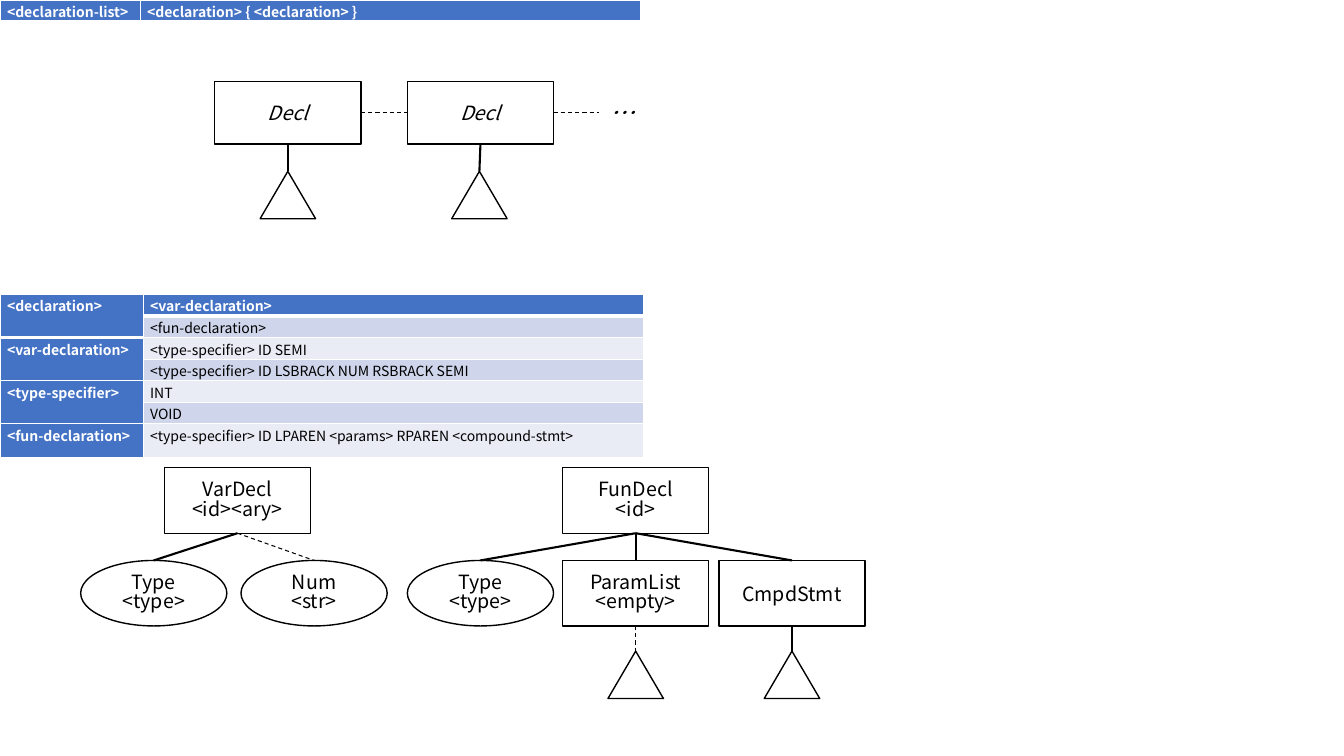
from lxml.etree import SubElement
from pptx import Presentation
from pptx.dml.color import RGBColor
from pptx.enum.dml import MSO_LINE
from pptx.enum.shapes import MSO_CONNECTOR, MSO_SHAPE
from pptx.enum.text import MSO_ANCHOR, PP_ALIGN
from pptx.oxml.ns import qn
from pptx.util import Inches, Pt

FACE = "Noto Sans CJK KR"
BLACK, WHITE, BLUE = "000000", "FFFFFF", "4472C4"
BANDS = ["E9EBF5", "CFD5EA"]


def tint(code):
    return RGBColor.from_string(code)


def write(frame, text, look, para):
    frame.text = text
    for item in frame.paragraphs:
        for name, value in para.items():
            setattr(item, name, value)
        for run in item.runs:
            run.font.color.rgb = tint(look["color"])
            for name in ("size", "bold", "italic"):
                setattr(run.font, name, look.get(name))
            run.font.name = FACE


deck = Presentation()
deck.slide_width, deck.slide_height = Inches(13.33), Inches(7.5)
slide = deck.slides.add_slide(deck.slide_layouts[6])
shapes = slide.shapes

# top, column widths, row heights, rows, first rows of merged pairs
grids = [
    (0, [1.39, 4.96], [0.16],
     [("<declaration-list>", "<declaration> { <declaration> }")], []),
    (2.92, [1.42, 4.96], [0.17, 0.18, 0.17, 0.17, 0.17, 0.18, 0.33],
     [("<declaration>", "<var-declaration>"),
      ("", "<fun-declaration>"),
      ("<var-declaration>", "<type-specifier> ID SEMI"),
      ("", "<type-specifier> ID LSBRACK NUM RSBRACK SEMI"),
      ("<type-specifier>", "INT"),
      ("", "VOID"),
      ("<fun-declaration>", "<type-specifier> ID LPAREN <params> RPAREN <compound-stmt>")],
     [0, 2, 4]),
]
for top, wide, high, rows, pairs in grids:
    grid = shapes.add_table(len(rows), 2, Inches(0), Inches(top),
                            Inches(sum(wide)), Inches(sum(high))).table
    for col, size in zip(grid.columns, wide):
        col.width = Inches(size)
    for row, size in zip(grid.rows, high):
        row.height = Inches(size)
    for r, words in enumerate(rows):
        for c, text in enumerate(words):
            cell = grid.cell(r, c)
            head = r == 0 or c == 0
            cell.margin_left = cell.margin_right = Inches(0.07)
            cell.margin_top = cell.margin_bottom = 0
            look = {"size": Pt(10), "bold": head, "color": WHITE if head else BLACK}
            write(cell.text_frame, text, look, {"line_spacing": 1.07, "space_after": Pt(8)})
            props = cell._tc.get_or_add_tcPr()
            for side in "LRTB":
                width = Pt(3) if r == 0 and side == "B" else Pt(1)
                edge = SubElement(props, qn(f"a:ln{side}"), w=str(width))
                SubElement(SubElement(edge, qn("a:solidFill")), qn("a:srgbClr"), val=WHITE)
            cell.fill.solid()
            cell.fill.fore_color.rgb = tint(BLUE if head else BANDS[r % 2])
    for r in pairs:
        grid.cell(r, 0).merge(grid.cell(r + 1, 0))

RECT, OVAL, TRI = MSO_SHAPE.RECTANGLE, MSO_SHAPE.OVAL, MSO_SHAPE.ISOSCELES_TRIANGLE
nodes = [
    ("decl1", RECT, 2.13, 0.81, 0.62, "Decl"),
    ("decl2", RECT, 4.04, 0.81, 0.62, "Decl"),
    ("var", RECT, 1.63, 4.64, 0.65, "VarDecl\n<id><ary>"),
    ("fun", RECT, 5.58, 4.64, 0.65, "FunDecl\n<id>"),
    ("type1", OVAL, 0.8, 5.56, 0.65, "Type\n<type>"),
    ("num", OVAL, 2.39, 5.56, 0.65, "Num\n<str>"),
    ("type2", OVAL, 4.04, 5.56, 0.65, "Type\n<type>"),
    ("params", RECT, 5.58, 5.56, 0.65, "ParamList\n<empty>"),
    ("body", RECT, 7.13, 5.56, 0.65, "CmpdStmt"),
    ("tree1", TRI, 2.58, 1.7, 0.47, ""),
    ("tree2", TRI, 4.48, 1.7, 0.47, ""),
    ("tree3", TRI, 6.03, 6.46, 0.47, ""),
    ("tree4", TRI, 7.58, 6.46, 0.47, ""),
]
made = {}
for name, kind, left, top, high, text in nodes:
    wide = 0.55 if kind == TRI else 1.45
    node = shapes.add_shape(kind, Inches(left), Inches(top), Inches(wide), Inches(high))
    node.shadow.inherit = False
    node.fill.solid()
    node.fill.fore_color.rgb = tint(WHITE)
    node.line.color.rgb = tint(BLACK)
    node.line.width = Pt(1)
    made[name] = node
    if text:
        node.text_frame.vertical_anchor = MSO_ANCHOR.MIDDLE
        look = {"size": Pt(14), "color": BLACK, "italic": text == "Decl"}
        para = {"alignment": PP_ALIGN.CENTER}
        if "\n" in text:
            para["line_spacing"] = 0.83
        write(node.text_frame, text, look, para)

# start, its side, end, its side, dashed
links = [
    ("decl1", 3, "decl2", 1, True),
    ("decl2", 3, None, 0, True),
    ("decl1", 2, "tree1", 0, False),
    ("decl2", 2, "tree2", 0, False),
    ("var", 2, "type1", 0, False),
    ("var", 2, "num", 0, True),
    ("fun", 2, "type2", 0, False),
    ("fun", 2, "params", 0, False),
    ("fun", 2, "body", 0, False),
    ("params", 2, "tree3", 0, True),
    ("body", 2, "tree4", 0, False),
]
for start, out, end, side, dash in links:
    link = shapes.add_connector(MSO_CONNECTOR.STRAIGHT, Inches(5.49), Inches(1.12),
                                Inches(5.94), Inches(1.12))
    link.begin_connect(made[start], out)
    if end:
        link.end_connect(made[end], side)
    link.line.color.rgb = tint(BLACK)
    link.line.width = Pt(0.75 if dash else 1.5)
    if dash:
        link.line.dash_style = MSO_LINE.DASH
    SubElement(link._element.spPr, qn("a:effectLst"))

more = shapes.add_textbox(Inches(5.94), Inches(0.81), Inches(0.45), Inches(0.62)).text_frame
more.word_wrap = True
more.vertical_anchor = MSO_ANCHOR.MIDDLE
write(more, "…", {"size": Pt(18), "color": BLACK, "italic": True},
      {"alignment": PP_ALIGN.CENTER})

deck.save("out.pptx")
